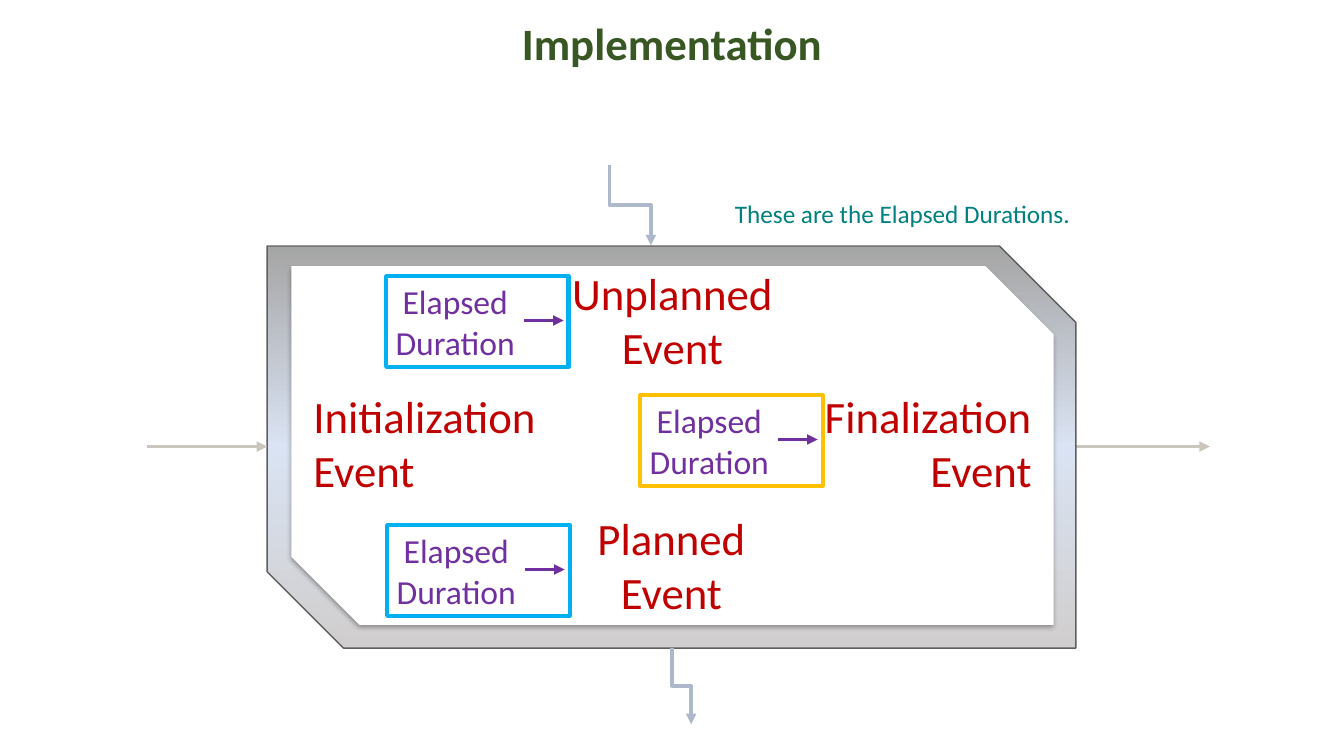
from lxml import etree
from pptx import Presentation
from pptx.dml.color import RGBColor
from pptx.enum.shapes import MSO_CONNECTOR, MSO_SHAPE
from pptx.enum.text import MSO_ANCHOR, MSO_AUTO_SIZE, PP_ALIGN
from pptx.oxml import parse_xml
from pptx.oxml.ns import qn
from pptx.util import Pt

PX = 9144  # EMU in one px, 100 px to the inch
WIDE, HIGH = 1333, 750
NS = 'xmlns:a="http://schemas.openxmlformats.org/drawingml/2006/main"'
RECT, SNIP = MSO_SHAPE.RECTANGLE, MSO_SHAPE.SNIP_2_DIAG_RECTANGLE
STRAIGHT, ELBOW = MSO_CONNECTOR.STRAIGHT, MSO_CONNECTOR.ELBOW
LEFT, CENTER, RIGHT = PP_ALIGN.LEFT, PP_ALIGN.CENTER, PP_ALIGN.RIGHT
TOP, BOTTOM = MSO_ANCHOR.TOP, MSO_ANCHOR.BOTTOM
GROW, FIXED = MSO_AUTO_SIZE.SHAPE_TO_FIT_TEXT, MSO_AUTO_SIZE.NONE
WHITE, RED, PURPLE, TEAL = "FFFFFF", "C00000", "7030A0", "008080"
SAND, STEEL, GRAY, GREEN = "CBC6BD", "ADB9CA", "5F5F5F", "385723"

# Left, top, text, alignment
EVENTS = [
    (301, 381, "Initialization\nEvent", LEFT),
    (502, 259, "Unplanned\nEvent", CENTER),
    (501, 502, "Planned\nEvent", CENTER),
    (703, 381, "Finalization\nEvent", RIGHT),
]
# Left, top, frame colour
SPANS = [(383, 274, "00B0F0"), (384, 521, "01B0F0"), (635, 392, "FFC001")]


def emu(*sizes):
    return [size * PX for size in sizes]


def color(code):
    return RGBColor.from_string(code)


def add_box(slide, kind, place, fill=None, line=None, width=1, snip=None):
    box = slide.shapes.add_shape(kind, *emu(*place))
    box.shadow.inherit = False
    if fill:
        box.fill.solid()
        box.fill.fore_color.rgb = color(fill)
    else:
        box.fill.background()
    if line:
        box.line.color.rgb = color(line)
        box.line.width = Pt(width)
    else:
        box.line.fill.background()
    if snip:
        box.adjustments[0] = 0
        box.adjustments[1] = snip
    return box


def blend(box, stops, angle):
    """Fill a box with a gradient of (percent, colour) stops."""
    box.fill.gradient()
    grad = box._element.spPr.find(qn("a:gradFill"))
    marks = "".join(
        f'<a:gs pos="{at * 1000}"><a:srgbClr val="{code}"/></a:gs>'
        for at, code in stops
    )
    grad.replace(grad.find(qn("a:gsLst")),
                 parse_xml(f"<a:gsLst {NS}>{marks}</a:gsLst>"))
    grad.find(qn("a:lin")).set("ang", str(angle * 60000))


def shade(box):
    """Give a box a soft shadow straight below it."""
    box._element.spPr.find(qn("a:effectLst")).append(parse_xml(
        f'<a:outerShdw {NS} blurRad="{Pt(3.5)}" dist="{Pt(2.2)}" '
        'dir="5400000" algn="t" rotWithShape="0"><a:srgbClr val="000000">'
        '<a:alpha val="32000"/></a:srgbClr></a:outerShdw>'))


def add_text(slide, text, place, size=32, tint=RED, align=LEFT, bold=False,
             anchor=TOP, fit=GROW, lead=None):
    frame = slide.shapes.add_textbox(*emu(*place)).text_frame
    frame.word_wrap = True
    frame.auto_size = fit
    frame.vertical_anchor = anchor
    frame.text = text
    for para in frame.paragraphs:
        para.alignment = align
        para.line_spacing = lead
        for run in para.runs:
            run.font.name = "Calibri"
            run.font.size = Pt(size)
            run.font.bold = bold
            run.font.color.rgb = color(tint)


def add_arrow(slide, start, end, tint, kind=STRAIGHT):
    arrow = slide.shapes.add_connector(kind, *emu(*start, *end))
    arrow.line.color.rgb = color(tint)
    arrow.line.width = Pt(2.5)
    etree.SubElement(arrow.line._get_or_add_ln(), qn("a:tailEnd"),
                     type="triangle")
    etree.SubElement(arrow._element.spPr, qn("a:effectLst"))
    return arrow


def add_step(slide, start, end):
    """Draw a bent arrow that leaves and arrives going down."""
    (x1, y1), (x2, y2) = start, end
    across, down = x2 - x1, y2 - y1
    left = (x1 + x2 - down) // 2
    top = (y1 + y2 - across) // 2
    arrow = add_arrow(slide, (left, top), (left + down, top + across),
                      STEEL, ELBOW)
    turn = arrow._element.spPr.find(qn("a:xfrm"))
    turn.set("rot", str(270 * 60000))
    turn.set("flipH", "1")


def add_span(slide, left, top, tint):
    """Draw a framed duration with its arrow."""
    add_arrow(slide, (left + 137, top + 44), (left + 176, top + 44), PURPLE)
    add_text(slide, "Elapsed\nDuration", (left - 12, top, 161, 91),
             size=24, tint=PURPLE, align=CENTER)
    add_box(slide, RECT, (left, top, 181, 90), line=tint, width=3)


def main():
    deck = Presentation()
    deck.slide_width, deck.slide_height = emu(WIDE, HIGH)
    slide = deck.slides.add_slide(deck.slide_layouts[6])

    outer = (265, 244, 802, 399)
    add_arrow(slide, (1067, 443), (1200, 443), SAND)
    add_box(slide, RECT, outer, fill=WHITE, line=WHITE)
    rim = add_box(slide, SNIP, outer, line=GRAY, snip=0.19)
    blend(rim, [(0, "D0CECE"), (50, "DAE3F3"), (100, "A5A5A5")], 270)
    add_step(slide, (605, 164), (646, 244))
    add_step(slide, (667, 643), (686, 719))
    shade(add_box(slide, SNIP, (289, 264, 756, 356), fill=WHITE, snip=0.19))

    for left, top, text, align in EVENTS:
        add_text(slide, text, (left, top, 330, 118), align=align)
    add_arrow(slide, (146, 443), (265, 443), SAND)
    add_text(slide, "These are the Elapsed Durations.", (719, 192, 599, 40),
             size=18, tint=TEAL)
    for span in SPANS:
        add_span(slide, *span)
    add_text(slide, "Implementation", (0, 16, WIDE, 59), tint=GREEN,
             align=CENTER, bold=True, anchor=BOTTOM, fit=FIXED, lead=0.9)

    deck.save("out.pptx")


if __name__ == "__main__":
    main()
